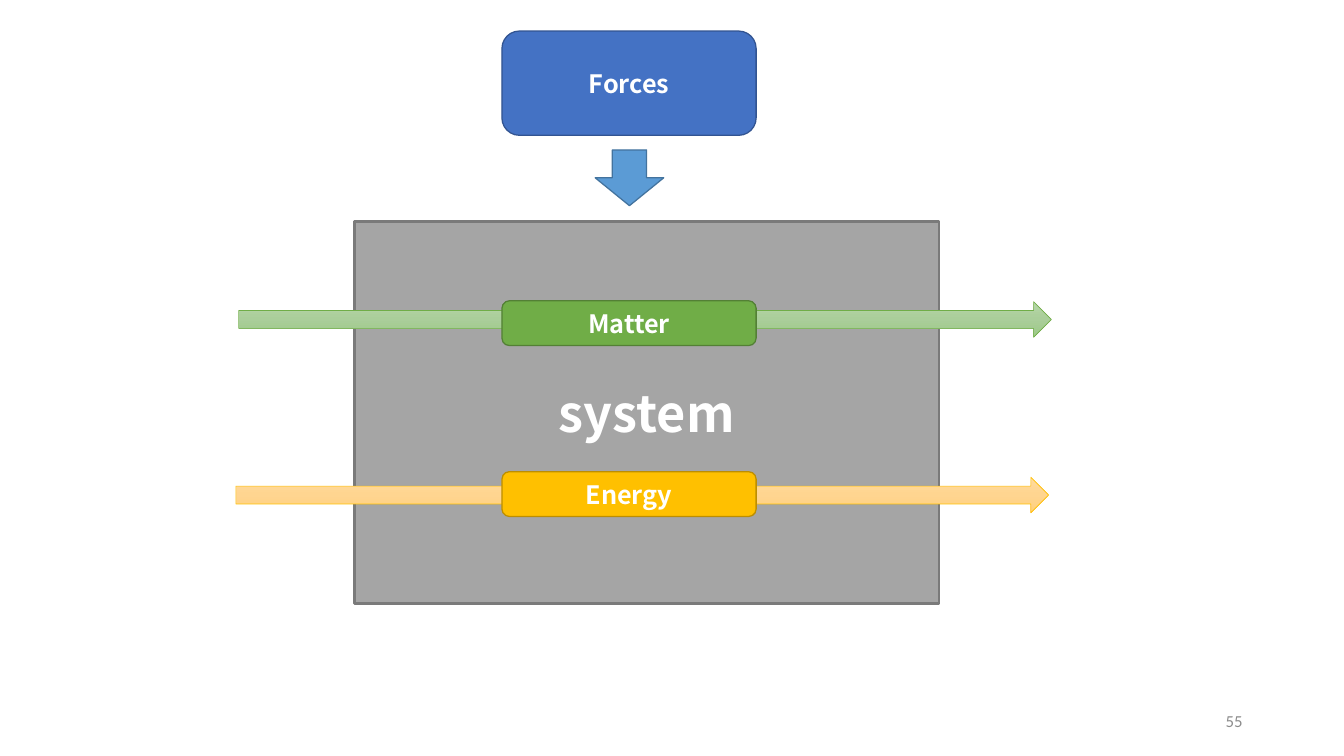
from copy import deepcopy

from pptx import Presentation, util as u
from pptx.dml.color import RGBColor
from pptx.enum import shapes, text
from pptx.oxml import ns

SHAPE = shapes.MSO_SHAPE
ALIGN = text.PP_ALIGN
WIDTH, HEIGHT = 14.7, 8.27
LABEL_LEFT, LABEL_WIDTH = 5.49, 2.78
HEADING_FONT = "Noto Sans CJK SC"


def rgb(value):
    return RGBColor.from_string(value)


def inches(*lengths):
    return [u.Inches(length) for length in lengths]


def write(sp, words, size, color="FFFFFF", font=HEADING_FONT, bold=True, align=ALIGN.CENTER):
    tf = sp.text_frame
    tf.word_wrap = True
    tf.vertical_anchor = text.MSO_ANCHOR.MIDDLE
    p = tf.paragraphs[0]
    p.text = words
    p.alignment = align
    p.font.name = font
    p.font.size = u.Pt(size)
    p.font.bold = bold
    p.font.color.rgb = rgb(color)


def add_block(s, kind, box, fill, line, weight=1):
    sp = s.shapes.add_shape(kind, *inches(*box))
    sp.shadow.inherit = False
    sp.line.color.rgb = rgb(line)
    sp.line.width = u.Pt(weight)
    if isinstance(fill, str):
        sp.fill.solid()
        sp.fill.fore_color.rgb = rgb(fill)
    else:
        fill_gradient(sp, fill)
    return sp


def fill_gradient(sp, colors):
    sp.fill.gradient()
    sp.fill.gradient_angle = 270
    stops = sp._element.spPr.find(".//" + ns.qn("a:gsLst"))
    stops.insert(1, deepcopy(stops[0]))
    for i, (stop, color) in enumerate(zip(sp.fill.gradient_stops, colors)):
        stop.position = i / (len(colors) - 1)
        stop.color.rgb = rgb(color)


def add_label(s, words, top, height, fill, line):
    box = LABEL_LEFT, top, LABEL_WIDTH, height
    write(add_block(s, SHAPE.ROUNDED_RECTANGLE, box, fill, line), words, 19.9)


def add_flow(s, words, left, arrow_top, label_top, colors, fill, line):
    add_block(s, SHAPE.RIGHT_ARROW, (left, arrow_top, 8.89, 0.39), colors, fill, 0.5)
    add_label(s, words, label_top, 0.49, fill, line)


def add_page_number(s, number):
    sp = s.shapes.add_textbox(*inches(10.38, 7.67, 3.31, 0.44))
    write(sp, number, 13.2, "8C8C8C", "Calibri", False, ALIGN.RIGHT)


def main():
    prs = Presentation()
    prs.slide_width, prs.slide_height = inches(WIDTH, HEIGHT)
    s = prs.slides.add_slide(prs.slide_layouts[6])
    system = add_block(s, SHAPE.RECTANGLE, (3.88, 2.42, 6.39, 4.18), "A5A5A5", "7A7A7A", 2.25)
    write(system, "system", 39.7)
    add_label(s, "Forces", 0.34, 1.14, "4472C4", "325491")
    add_block(s, SHAPE.DOWN_ARROW, (6.51, 1.64, 0.75, 0.61), "5B9BD5", "43739E")
    add_flow(s, "Matter", 2.61, 3.3, 3.29, ("B5D5A7", "AACE9A", "9CC987"), "70AD47", "538035")
    add_flow(s, "Energy", 2.58, 5.22, 5.16, ("FFDB9E", "FFD590", "FFD07C"), "FFC000", "BD8E00")
    add_page_number(s, "55")
    prs.save("out.pptx")


if __name__ == "__main__":
    main()
